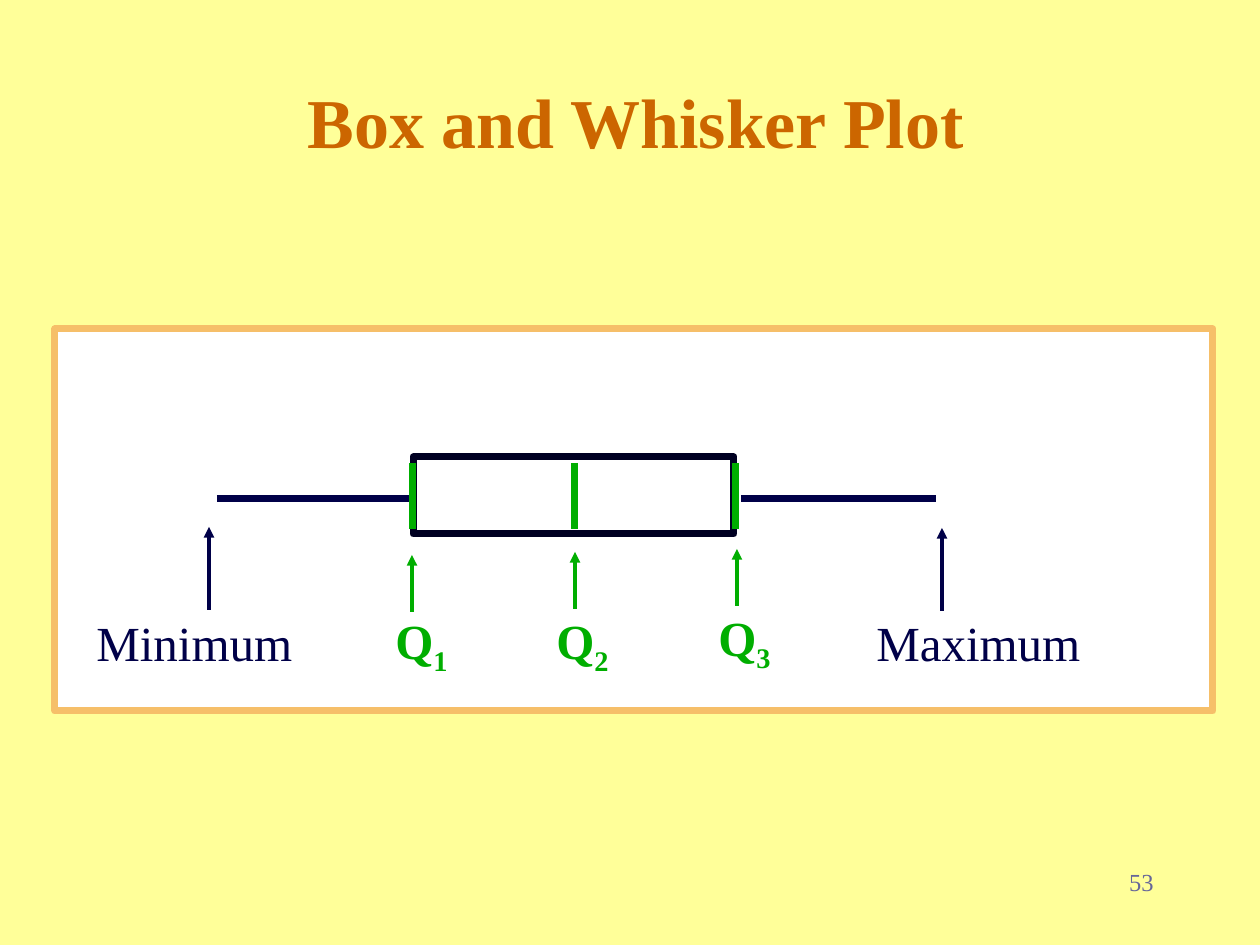
from lxml import etree
from pptx import Presentation
from pptx.dml.color import RGBColor
from pptx.enum.shapes import MSO_CONNECTOR, MSO_SHAPE
from pptx.enum.text import MSO_ANCHOR, PP_ALIGN
from pptx.oxml.ns import qn
from pptx.util import Emu, Pt

EMU_PER_PX = 914400 / 126
FONT = "Times New Roman"
YELLOW = RGBColor(0xFF, 0xFF, 0x99)
WHITE = RGBColor(0xFF, 0xFF, 0xFF)
ORANGE = RGBColor(0xCC, 0x66, 0x00)
PEACH = RGBColor(0xF6, 0xBF, 0x69)
BLACK_BLUE = RGBColor(0x00, 0x00, 0x22)
NAVY = RGBColor(0x00, 0x00, 0x48)
GREEN = RGBColor(0x00, 0xAE, 0x00)
SLATE = RGBColor(0x66, 0x66, 0x99)

TITLE = "Box and Whisker Plot"
PAGE_NUMBER = "53"

# Left, top, width, height; outline colour
BOXES = [((55, 329, 1158, 382), PEACH), ((413, 457, 321, 77), BLACK_BLUE)]

WHISKER_Y = 499
WHISKERS = [(217, 411), (741, 936)]

# Subscript, bar x, arrow x, arrow tip y, label left, label top
QUARTILES = [
    ("1", 413, 412, 555, 383, 604),
    ("2", 575, 575, 552, 544, 604),
    ("3", 736, 737, 549, 706, 601),
]
BAR_TOP, BAR_BOTTOM = 463, 529
QUARTILE_ARROW = 57
QUARTILE_LABEL = (77, 79)

# Text, arrow x, arrow tip y, label left, label width
EXTREMES = [("Minimum", 209, 527, 84, 221), ("Maximum", 942, 528, 864, 229)]
EXTREME_ARROW = 83
EXTREME_LABEL_TOP, EXTREME_LABEL_HEIGHT = 606, 71


def px(*lengths):
    return [Emu(round(length * EMU_PER_PX)) for length in lengths]


def add_box(slide, bounds, color):
    shape = slide.shapes.add_shape(MSO_SHAPE.RECTANGLE, *px(*bounds))
    shape.shadow.inherit = False
    shape.fill.solid()
    shape.fill.fore_color.rgb = WHITE
    shape.line.color.rgb = color
    shape.line.width = Pt(4)


def add_line(slide, start, end, color, width=4, arrow=False):
    line = slide.shapes.add_connector(MSO_CONNECTOR.STRAIGHT, *px(*start, *end))
    line.line.color.rgb = color
    line.line.width = Pt(width)
    if arrow:
        etree.SubElement(line.line._get_or_add_ln(), qn("a:tailEnd"), type="triangle")
    etree.SubElement(line._element.spPr, qn("a:effectLst"))


def add_up_arrow(slide, x, tip, length, color):
    add_line(slide, (x, tip + length), (x, tip), color, width=2, arrow=True)


def add_text(slide, bounds, text, size, color, bold=False, align=PP_ALIGN.LEFT,
             anchor=MSO_ANCHOR.TOP, wrap=False, subscript=""):
    frame = slide.shapes.add_textbox(*px(*bounds)).text_frame
    frame.word_wrap = wrap
    frame.vertical_anchor = anchor
    paragraph = frame.paragraphs[0]
    paragraph.text = text
    paragraph.alignment = align
    if subscript:
        run = paragraph.add_run()
        run.text = subscript
        run.font._element.set("baseline", "-25000")
    for run in paragraph.runs:
        run.font.name = FONT
        run.font.size = Pt(size)
        run.font.bold = bold
        run.font.color.rgb = color


def main():
    presentation = Presentation()
    presentation.slide_width, presentation.slide_height = px(1260, 945)
    slide = presentation.slides.add_slide(presentation.slide_layouts[6])
    slide.background.fill.solid()
    slide.background.fill.fore_color.rgb = YELLOW

    add_text(slide, (53, 42, 1165, 157), TITLE, 40, ORANGE, bold=True,
             align=PP_ALIGN.CENTER, anchor=MSO_ANCHOR.MIDDLE, wrap=True)
    for bounds, color in BOXES:
        add_box(slide, bounds, color)
    for left, right in WHISKERS:
        add_line(slide, (left, WHISKER_Y), (right, WHISKER_Y), NAVY)

    for number, bar_x, arrow_x, tip, left, top in QUARTILES:
        add_line(slide, (bar_x, BAR_TOP), (bar_x, BAR_BOTTOM), GREEN)
        add_up_arrow(slide, arrow_x, tip, QUARTILE_ARROW, GREEN)
        add_text(slide, (left, top, *QUARTILE_LABEL), "Q", 28, GREEN,
                 bold=True, subscript=number)

    for text, arrow_x, tip, left, width in EXTREMES:
        add_up_arrow(slide, arrow_x, tip, EXTREME_ARROW, NAVY)
        add_text(slide, (left, EXTREME_LABEL_TOP, width, EXTREME_LABEL_HEIGHT),
                 text, 28, NAVY)

    add_text(slide, (1061, 861, 105, 63), PAGE_NUMBER, 14, SLATE,
             align=PP_ALIGN.RIGHT, wrap=True)
    presentation.save("out.pptx")


if __name__ == "__main__":
    main()
